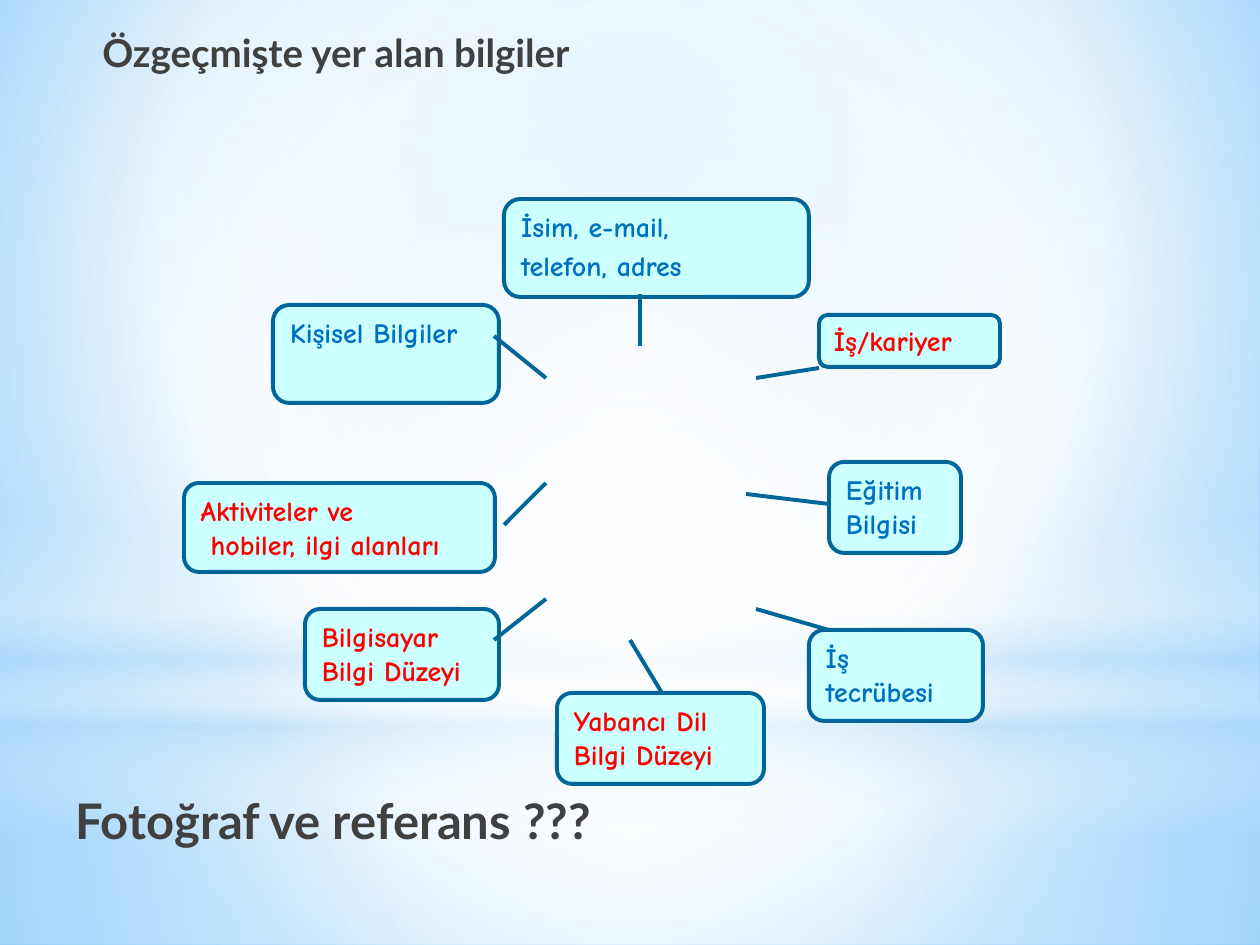
from dataclasses import dataclass

from pptx import Presentation
from pptx import util as u
from pptx.dml.color import RGBColor
from pptx.enum import shapes, text
from pptx.oxml import parse_xml
from pptx.oxml.ns import nsdecls, qn

PX = 914400 / 126
WIDTH, HEIGHT = 1260, 945


@dataclass(frozen=True)
class Theme:
    heading_font: str = "Lato"
    node_font: str = "Comic Neue"
    ink: str = "404040"
    blue: str = "0070C0"
    red: str = "FF0000"
    node_fill: str = "CCFFFF"
    outline: str = "006699"
    white: str = "FFFFFF"
    haze: str = "B4DCFA"
    sky: str = "9ED5FF"
    deep_sky: str = "5BB9FF"
    title_size: int = 28
    subtitle_size: int = 22
    node_size: int = 16
    stroke: float = 2.25


THEME = Theme()
CENTRE = (50, 50, 50, 50)

# (lines, colour, box, spoke start at the hub, spoke end at the box, space before)
NODES = [
    (("Kişisel Bilgiler",), THEME.blue, (89, 106, 226, 98), (362, 179), (310, 137), 0),
    (("Yabancı Dil", "Bilgi Düzeyi"), THEME.red, (373, 494, 207, 91), (446, 441), (478, 494), 0),
    (("İsim, e-mail,", "telefon, adres"), THEME.blue, (320, 0, 305, 98), (456, 147), (456, 95), 3),
    (("İş/kariyer",), THEME.red, (635, 116, 181, 52), (572, 179), (635, 169), 0),
    (("Aktiviteler ve", " hobiler, ilgi alanları"), THEME.red, (0, 284, 311, 89), (362, 284), (320, 326), 0),
    (("İş", "tecrübesi"), THEME.blue, (625, 431, 174, 91), (572, 410), (645, 431), 0),
    (("Eğitim", "Bilgisi"), THEME.blue, (645, 263, 132, 91), (562, 295), (645, 305), 0),
    (("Bilgisayar", "Bilgi Düzeyi"), THEME.red, (121, 410, 194, 91), (362, 400), (310, 441), 0),
]


def px(*lengths):
    return [u.Emu(round(length * PX)) for length in lengths]


def rgb(colour):
    return RGBColor.from_string(colour)


def paint_gradient(holder, stops, focus=None):
    """Swap a solid fill for (position, colour, opacity) stops; no focus means top to bottom."""
    marks = "".join(
        f'<a:gs pos="{pos * 1000}"><a:srgbClr val="{colour}">'
        f'<a:alpha val="{opacity * 1000}"/></a:srgbClr></a:gs>'
        for pos, colour, opacity in stops
    )
    if focus:
        sides = " ".join(f'{side}="{value * 1000}"' for side, value in zip("ltrb", focus))
        course = f'<a:path path="circle"><a:fillToRect {sides}/></a:path>'
    else:
        course = '<a:lin ang="5400000" scaled="0"/>'
    gradient = parse_xml(
        f'<a:gradFill {nsdecls("a")} rotWithShape="1"><a:gsLst>{marks}</a:gsLst>{course}</a:gradFill>'
    )
    holder.replace(holder.find(qn("a:solidFill")), gradient)


def style_text(frame, lines, font, size, colour, gap=0):
    frame.word_wrap = True
    frame.auto_size = text.MSO_AUTO_SIZE.NONE
    frame.vertical_anchor = text.MSO_ANCHOR.TOP
    frame.text = "\n".join(lines)
    for index, paragraph in enumerate(frame.paragraphs):
        paragraph.alignment = text.PP_ALIGN.LEFT
        if index and gap:
            paragraph.space_before = u.Pt(gap)
        for run in paragraph.runs:
            run.font.name = font
            run.font.size = u.Pt(size)
            run.font.bold = True
            run.font.color.rgb = rgb(colour)


def add_backdrop(slide):
    slide.background.fill.solid()
    paint_gradient(
        slide.element.find(".//" + qn("p:bgPr")),
        [(0, THEME.sky, 100), (60, THEME.white, 100), (100, THEME.deep_sky, 100)],
        (20, 10, 20, 60),
    )
    white, haze = THEME.white, THEME.haze
    rectangle, ellipse = shapes.MSO_SHAPE.RECTANGLE, shapes.MSO_SHAPE.OVAL
    horizon = 703
    layers = [
        (rectangle, horizon, HEIGHT - horizon, [(0, white, 91), (37, white, 76), (100, haze, 79)], CENTRE),
        (rectangle, 0, horizon, [(0, white, 89), (48, white, 62), (100, haze, 79)], CENTRE),
        (rectangle, 519, 315, [(0, white, 0), (29, white, 30), (45, haze, 40), (55, white, 26),
                               (65, haze, 60), (100, white, 0)], None),
        (ellipse, 220, horizon, [(0, white, 100), (56, white, 0)], CENTRE),
    ]
    for kind, top, height, stops, focus in layers:
        layer = slide.shapes.add_shape(kind, *px(0, top, WIDTH, height))
        layer.shadow.inherit = False
        layer.line.fill.background()
        layer.fill.solid()
        paint_gradient(layer.element.spPr, stops, focus)


def add_heading(slide, box, words, size):
    heading = slide.shapes.add_textbox(*px(*box))
    style_text(heading.text_frame, [words], THEME.heading_font, size, THEME.ink)


def draw_outline(line):
    line.color.rgb = rgb(THEME.outline)
    line.width = u.Pt(THEME.stroke)


def add_node(slide, box, lines, colour, gap):
    node = slide.shapes.add_shape(shapes.MSO_SHAPE.ROUNDED_RECTANGLE, *px(*box))
    node.shadow.inherit = False
    node.fill.solid()
    node.fill.fore_color.rgb = rgb(THEME.node_fill)
    draw_outline(node.line)
    style_text(node.text_frame, lines, THEME.node_font, THEME.node_size, colour, gap)


def add_spoke(slide, start, end):
    spoke = slide.shapes.add_connector(shapes.MSO_CONNECTOR.STRAIGHT, *px(*start, *end))
    draw_outline(spoke.line)
    spoke.element.spPr.append(parse_xml(f'<a:effectLst {nsdecls("a")}/>'))


def add_wheel(slide, left, top):
    """Ring of résumé topics with spokes that point to an open centre."""
    for lines, colour, (x, y, width, height), _, _, gap in NODES:
        add_node(slide, (left + x, top + y, width, height), lines, colour, gap)
    for _, _, _, hub, rim, _ in NODES:
        add_spoke(slide, *((left + x, top + y) for x, y in (hub, rim)))


def main():
    deck = Presentation()
    deck.slide_width, deck.slide_height = px(WIDTH, HEIGHT)
    slide = deck.slides.add_slide(deck.slide_layouts[6])
    add_backdrop(slide)
    add_heading(slide, (90, 23, 1033, 70), "Özgeçmişte yer alan bilgiler", THEME.subtitle_size)
    add_wheel(slide, 184, 199)
    add_heading(slide, (63, 784, 1154, 97), "Fotoğraf ve referans ???", THEME.title_size)
    deck.save("out.pptx")


if __name__ == "__main__":
    main()
